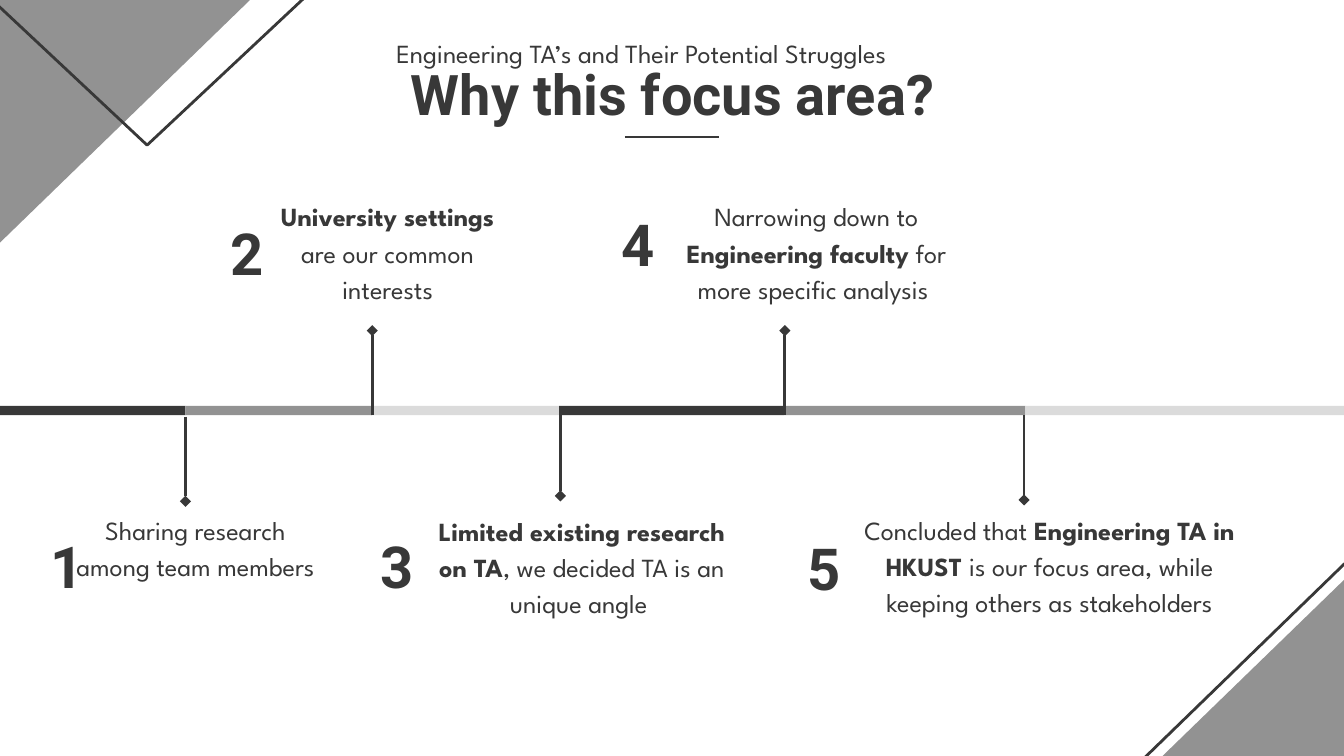
from itertools import cycle, pairwise

from lxml.etree import SubElement
from pptx import Presentation
from pptx.dml.color import RGBColor
from pptx.enum.shapes import MSO_CONNECTOR, MSO_SHAPE
from pptx.enum.text import MSO_ANCHOR, PP_ALIGN
from pptx.oxml.ns import qn
from pptx.util import Inches, Pt

PAGE_WIDTH = 10
PAGE_HEIGHT = PAGE_WIDTH * 9 / 16

DARK, GRAY, LIGHT = "383838", "929292", "DBDBDB"
NUMBER = {"size": Pt(31), "name": "Roboto", "bold": True}
HEADING = {"size": Pt(30), "name": "Roboto", "bold": True}
BODY = {"size": Pt(14), "name": "League Spartan"}
BODY_PARA = {"line_spacing": 1.15, "space_after": Pt(16)}
STEM = 0.63

SEGMENT_EDGES = [-0.02, 1.38, 2.77, 4.16, 5.83, 7.63, PAGE_WIDTH]

MILESTONES = [
    ((0.42, 3.69, 2.07, 1.05), (-0.14, 0.16), (0.96, -0.59),
     [("Sharing research among team members", False)]),
    ((1.85, 1.36, 2.07, 1.05), (-0.23, 0.16), (0.92, 1.73),
     [("University settings ", True), ("are our common interests", False)]),
    ((3.13, 3.7, 2.4, 1.05), (-0.4, 0.15), (1.04, -0.64),
     [("Limited existing research on TA", True),
      (", we decided TA is an unique angle ", False)]),
    ((4.83, 1.36, 2.49, 1.05), (-0.3, 0.09), (1.01, 1.73),
     [("Narrowing down to ", False), ("Engineering faculty", True),
      (" for more specific analysis ", False)]),
    ((6.17, 3.69, 3.28, 1.35), (-0.26, 0.17), (1.45, -0.6),
     [("Concluded that ", False), ("Engineering TA in HKUST ", True),
      ("is our focus area, while keeping others as stakeholders", False)]),
]


def paint(color_format, value):
    color_format.rgb = RGBColor.from_string(value)


def apply(target, values):
    for name, value in values.items():
        setattr(target, name, value)


def add_text(page, box, spans, font, align, para_format):
    frame = page.shapes.add_textbox(*map(Inches, box)).text_frame
    apply(frame, {"word_wrap": True, "vertical_anchor": MSO_ANCHOR.TOP})
    apply(frame, {f"margin_{side}": Inches(0.1)
                  for side in ("left", "top", "right", "bottom")})
    para = frame.paragraphs[0]
    apply(para, {"alignment": align, **para_format})
    for text, bold in spans:
        span = para.add_run()
        span.text = text
        apply(span.font, {"bold": bold, **font})
        paint(span.font.color, DARK)


def add_block(page, kind, box, fill=None, flipped=False, rotation=0):
    shape = page.shapes.add_shape(kind, *map(Inches, box))
    shape.shadow.inherit = False
    shape.rotation = rotation
    if flipped:
        shape._element.spPr.xfrm.set("flipH", "1")
    if fill:
        shape.fill.solid()
        paint(shape.fill.fore_color, fill)
        shape.line.fill.background()
    else:
        shape.fill.background()
        paint(shape.line.color, DARK)
        shape.line.width = Pt(1.5)


def add_line(page, start, end, diamond=False):
    line = page.shapes.add_connector(MSO_CONNECTOR.STRAIGHT, *map(Inches, (*start, *end)))
    paint(line.line.color, DARK)
    line.line.width = Pt(1.5)
    properties = line._element.spPr
    if diamond:
        SubElement(properties.find(qn("a:ln")), qn("a:tailEnd"), type="diamond")
    SubElement(properties, qn("a:effectLst"))


def add_bottom_corner(page, left, top, width, height):
    triangle = MSO_SHAPE.RIGHT_TRIANGLE
    add_block(page, triangle, (left, top, width, height), flipped=True)
    add_block(page, triangle, (left + 0.12, top, width, height), GRAY, True)


def add_top_corner(page, left, top, width, height):
    add_block(page, MSO_SHAPE.RIGHT_TRIANGLE, (left, top, width, height), GRAY, True, 180)
    add_block(page, MSO_SHAPE.ISOSCELES_TRIANGLE,
              (left - 1.01, top - 0.67, 5.87, 2.75), None, True, 180)


def add_heading(page, left, top, width, height):
    add_text(page, (left, top, width, height), [("Why this focus area?", True)],
             HEADING, PP_ALIGN.CENTER, {})
    add_text(page, (left + 1.87, top - 0.2, 4.19, 0.27),
             [("Engineering TA’s and Their Potential Struggles", False)],
             BODY, PP_ALIGN.LEFT, BODY_PARA)
    middle, rule = PAGE_WIDTH / 2, top + 0.68
    add_line(page, (middle - 0.35, rule), (middle + 0.35, rule))


def add_timeline(page, top, height):
    for (start, end), fill in zip(pairwise(SEGMENT_EDGES), cycle([DARK, GRAY, LIGHT])):
        add_block(page, MSO_SHAPE.RECTANGLE, (start, top, end - start, height), fill)


def add_milestone(page, number, box, number_offset, stem_offset, spans):
    left, top = box[:2]
    x, y = left + stem_offset[0], top + stem_offset[1]
    tip = y - STEM if stem_offset[1] > 0 else y + STEM
    add_line(page, (x, y), (x, tip), diamond=True)
    add_text(page, (left + number_offset[0], top + number_offset[1], 0.3, 0.73),
             [(str(number), True)], NUMBER, PP_ALIGN.RIGHT, {})
    add_text(page, box, spans, BODY, PP_ALIGN.CENTER, BODY_PARA)


def main():
    deck = Presentation()
    apply(deck, {"slide_width": Inches(PAGE_WIDTH), "slide_height": Inches(PAGE_HEIGHT)})
    page = deck.slides.add_slide(deck.slide_layouts[6])
    add_bottom_corner(page, 7.68, 2.84, 3.72, 3.61)
    add_top_corner(page, -0.83, -1, 3.72, 3.61)
    add_heading(page, 0.98, 0.34, 8.05, 0.58)
    add_timeline(page, 3.02, 0.07)
    for number, milestone in enumerate(MILESTONES, 1):
        add_milestone(page, number, *milestone)
    deck.save("out.pptx")


if __name__ == "__main__":
    main()
